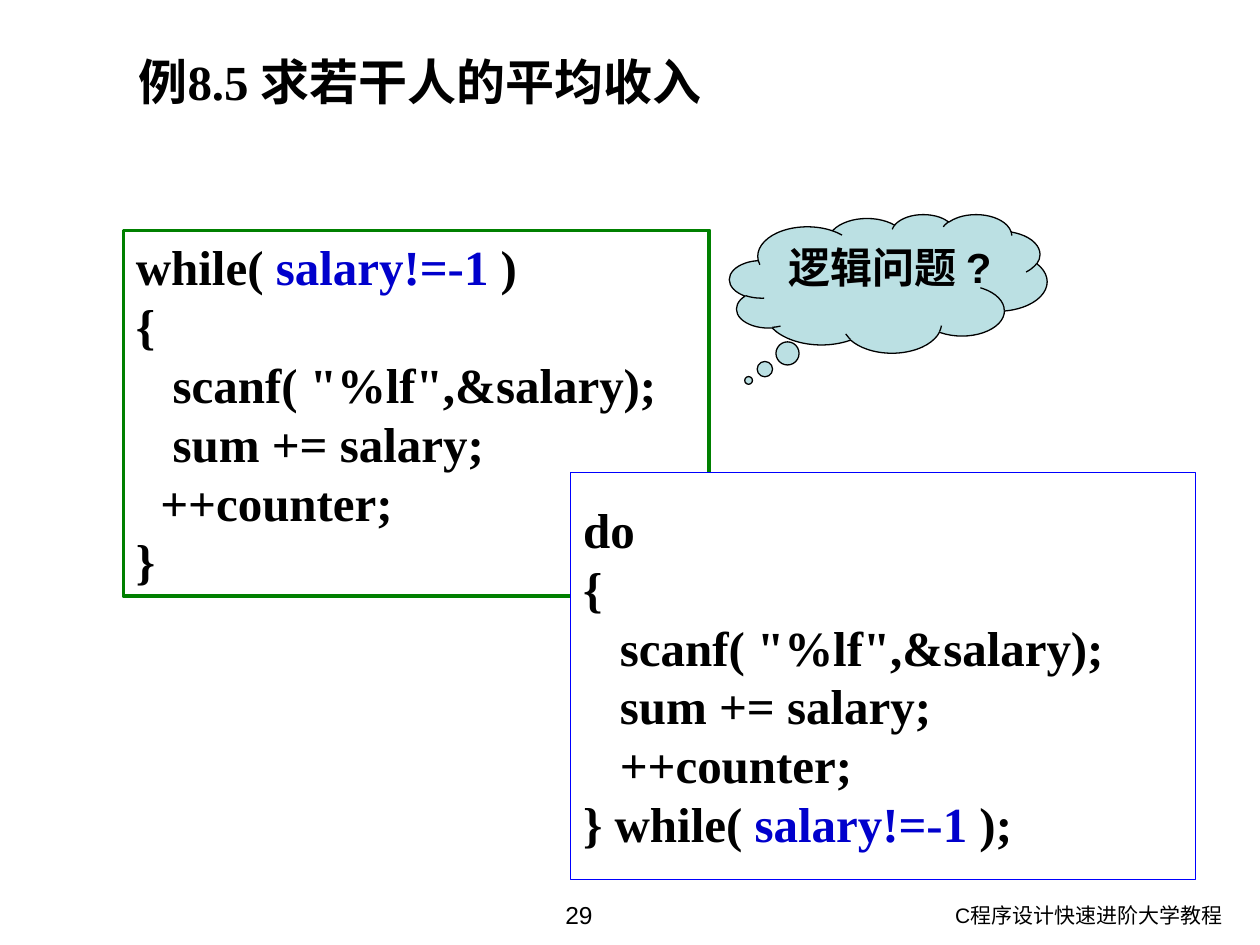
from pptx import Presentation
from pptx.dml.color import RGBColor
from pptx.enum.shapes import MSO_SHAPE
from pptx.enum.text import MSO_ANCHOR, MSO_AUTO_SIZE, PP_ALIGN
from pptx.util import Inches, Pt

RECT, CLOUD = MSO_SHAPE.RECTANGLE, MSO_SHAPE.CLOUD_CALLOUT
TOP, MIDDLE = MSO_ANCHOR.TOP, MSO_ANCHOR.MIDDLE
LEFT, CENTER, RIGHT = PP_ALIGN.LEFT, PP_ALIGN.CENTER, PP_ALIGN.RIGHT
TITLE_ONLY = 5

BLACK = RGBColor(0x00, 0x00, 0x00)
WHITE = RGBColor(0xFF, 0xFF, 0xFF)
GREEN = RGBColor(0x00, 0x80, 0x00)
BLUE = RGBColor(0x00, 0x00, 0xFF)
CODE_BLUE = RGBColor(0x00, 0x00, 0xCC)
PALE_TEAL = RGBColor(0xBB, 0xE0, 0xE3)

SERIF, SANS = "Times New Roman", "Arial"
CONDITION = "salary!=-1"


def write(tf, text, size=28, font=SERIF, bold=True, align=LEFT, anchor=TOP,
          mark=None, mark_color=CODE_BLUE):
    """Fill a text frame line by line, colouring each occurrence of mark."""
    tf.word_wrap = True
    tf.auto_size = MSO_AUTO_SIZE.NONE
    tf.vertical_anchor = anchor
    for i, line in enumerate(text.split("\n")):
        p = tf.paragraphs[0] if i == 0 else tf.add_paragraph()
        p.alignment = align
        before, found, after = line.partition(mark) if mark else (line, "", "")
        for part, color in ((before, BLACK), (found, mark_color), (after, BLACK)):
            if part:
                r = p.add_run()
                r.text = part
                r.font.name, r.font.size, r.font.bold = font, Pt(size), bold
                r.font.color.rgb = color


class SlideBuilder:
    def __init__(self, prs):
        self.s = prs.slides.add_slide(prs.slide_layouts[TITLE_ONLY])

    def title(self, text, x, y, w, h):
        sp = self.s.shapes.title
        sp.left, sp.top, sp.width, sp.height = map(Inches, (x, y, w, h))
        write(sp.text_frame, text)

    def text(self, text, x, y, w, h, **style):
        sp = self.s.shapes.add_textbox(*map(Inches, (x, y, w, h)))
        write(sp.text_frame, text, **style)

    def shape(self, kind, text, x, y, w, h, fill, line, weight=0.75, **style):
        sp = self.s.shapes.add_shape(kind, *map(Inches, (x, y, w, h)))
        sp.shadow.inherit = False
        sp.fill.solid()
        sp.fill.fore_color.rgb = fill
        sp.line.color.rgb = line
        sp.line.width = Pt(weight)
        write(sp.text_frame, text, **style)
        return sp


def main():
    prs = Presentation()
    prs.slide_width, prs.slide_height = Inches(10), Inches(7.5)
    slide = SlideBuilder(prs)

    # Title and footer
    slide.title("例8.5 求若干人的平均收入", 1, 0.36, 9, 0.8)
    slide.text("C程序设计快速进阶大学教程", 6.57, 7.11, 3.23, 0.39,
               size=12, font=SANS, bold=False, align=RIGHT)
    slide.text("29", 3.43, 7.09, 2.33, 0.41,
               size=14, font=SANS, bold=False, align=CENTER)

    # The two loops
    while_loop = """while( salary!=-1 )
{
   scanf( "%lf",&salary);
   sum += salary;
  ++counter;
}"""
    do_loop = """do
{
   scanf( "%lf",&salary);
   sum += salary;
   ++counter;
} while( salary!=-1 );"""
    slide.shape(RECT, while_loop, 0.98, 1.83, 4.65, 2.9, WHITE, GREEN, 2.25,
                anchor=MIDDLE, mark=CONDITION)
    slide.shape(RECT, do_loop, 4.53, 3.75, 4.96, 3.23, WHITE, BLUE,
                anchor=MIDDLE, mark=CONDITION)

    # Thought cloud pointing at the first loop
    cloud = slide.shape(CLOUD, "逻辑问题 ?", 5.79, 1.7, 2.52, 1.1,
                        PALE_TEAL, BLACK, size=24, font=SANS, align=CENTER)
    cloud.adjustments[0], cloud.adjustments[1] = -0.44, 0.7

    prs.save("out.pptx")


if __name__ == "__main__":
    main()
